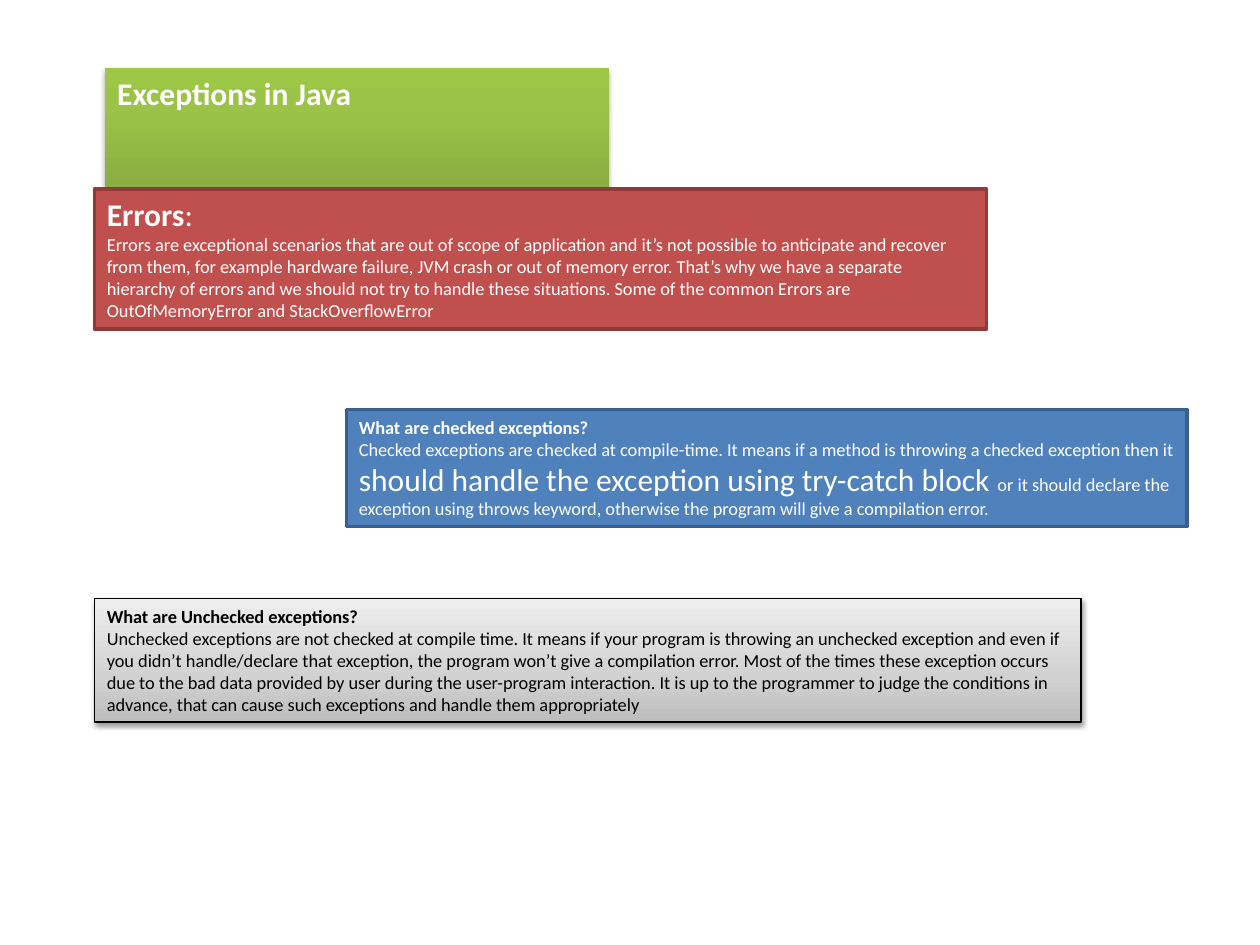
from lxml import etree
from pptx import Presentation
from pptx import util as u
from pptx.dml.color import RGBColor
from pptx.enum import shapes, text
from pptx.oxml.ns import qn

FONT = "Calibri"
HEADING, BODY = 18, 10.5
COLORS = {
    "white": "FFFFFF",
    "black": "000000",
    "red": "C0504D",
    "red_edge": "8E3B39",
    "blue": "4F81BD",
    "blue_edge": "3A5F8C",
}
GREEN_STOPS = [(0, "779737"), (80, "9BC348"), (100, "9DC746")]
GREY_STOPS = [(0, "BDBDBD"), (35, "D1D1D1"), (100, "EEEEEE")]


def rgb(name):
    return RGBColor.from_string(COLORS[name])


def add_span(para, words, size=BODY, bold=False, color="white"):
    span = para.add_run()
    span.text = words
    span.font.name = FONT
    span.font.size = u.Pt(size)
    span.font.bold = bold
    span.font.color.rgb = rgb(color)


def fill_gradient(box, stops):
    box.fill.gradient()
    box.fill.gradient_angle = 90
    stop_list = box._element.spPr.find(qn("a:gradFill")).find(qn("a:gsLst"))
    for old in list(stop_list):
        stop_list.remove(old)
    for position, color in stops:
        stop = etree.SubElement(stop_list, qn("a:gs"), pos=str(position * 1000))
        etree.SubElement(stop, qn("a:srgbClr"), val=color)


def add_shadow(box, opacity, distance):
    effects = box._element.spPr.find(qn("a:effectLst"))
    shadow = etree.SubElement(
        effects, qn("a:outerShdw"), blurRad=str(u.Pt(3.1)),
        dist=str(u.Pt(distance)), dir="5400000", rotWithShape="0")
    color = etree.SubElement(shadow, qn("a:srgbClr"), val=COLORS["black"])
    etree.SubElement(color, qn("a:alpha"), val=str(opacity * 1000))


def format_box(box, paragraphs, color="white", fill=None, stops=None,
               edge=None, edge_width=2, shadow=None):
    box.shadow.inherit = False
    if stops:
        fill_gradient(box, stops)
    else:
        box.fill.solid()
        box.fill.fore_color.rgb = rgb(fill)
    if edge:
        box.line.color.rgb = rgb(edge)
        box.line.width = u.Pt(edge_width)
    else:
        box.line.fill.background()
    if shadow:
        add_shadow(box, *shadow)
    frame = box.text_frame
    frame.word_wrap = True
    frame.auto_size = text.MSO_AUTO_SIZE.SHAPE_TO_FIT_TEXT
    frame.vertical_anchor = text.MSO_ANCHOR.TOP
    for index, spans in enumerate(paragraphs):
        para = frame.add_paragraph() if index else frame.paragraphs[0]
        para.alignment = text.PP_ALIGN.LEFT
        for words, style in spans:
            add_span(para, words, color=color, **style)


def place_title(page, left, top, width, height):
    title = page.shapes.title
    title.left, title.top = u.Inches(left), u.Inches(top)
    title.width, title.height = u.Inches(width), u.Inches(height)
    heading = [("Exceptions in Java", {"size": HEADING, "bold": True})]
    format_box(title, [heading], stops=GREEN_STOPS, shadow=(35, 1.8))


def add_panel(page, left, top, width, height, paragraphs, **look):
    box = page.shapes.add_shape(
        shapes.MSO_SHAPE.RECTANGLE, u.Inches(left), u.Inches(top),
        u.Inches(width), u.Inches(height))
    format_box(box, paragraphs, **look)


ERRORS = [
    [("Errors", {"size": HEADING, "bold": True}), (":", {"size": HEADING})],
    [("Errors are exceptional scenarios that are out of scope of application "
      "and it’s not possible to anticipate and recover from them, for example "
      "hardware failure, JVM crash or out of memory error. That’s why we have "
      "a separate hierarchy of errors and we should not try to handle these "
      "situations. Some of the common Errors are OutOfMemoryError and "
      "StackOverflowError", {})],
]
CHECKED = [
    [("What are checked exceptions?", {"bold": True})],
    [("Checked exceptions are checked at compile-time. It means if a method is "
      "throwing a checked exception then it ", {}),
     ("should handle the exception using try-catch block ", {"size": HEADING}),
     ("or it should declare the exception using throws keyword, otherwise the "
      "program will give a compilation error.", {})],
]
UNCHECKED = [
    [("What are Unchecked exceptions?", {"bold": True})],
    [("Unchecked exceptions are not checked at compile time. It means if your "
      "program is throwing an unchecked exception and even if you didn’t "
      "handle/declare that exception, the program won’t give a compilation "
      "error. Most of the times these exception occurs due to the bad data "
      "provided by user during the user-program interaction. It is up to the "
      "programmer to judge the conditions in advance, that can cause such "
      "exceptions and handle them appropriately", {})],
]


def main():
    deck = Presentation()
    deck.slide_width, deck.slide_height = u.Inches(10), u.Inches(7.5)
    page = deck.slides.add_slide(deck.slide_layouts.get_by_name("Title Only"))
    place_title(page, 0.83, 0.54, 4, 0.42)
    add_panel(page, 0.75, 1.5, 7.08, 1.11, ERRORS, fill="red", edge="red_edge")
    add_panel(page, 2.75, 3.25, 6.67, 0.93, CHECKED, fill="blue", edge="blue_edge")
    add_panel(page, 0.75, 4.75, 7.83, 0.98, UNCHECKED, color="black",
              stops=GREY_STOPS, edge="black", edge_width=0.75, shadow=(38, 1.6))
    deck.save("out.pptx")


if __name__ == "__main__":
    main()
